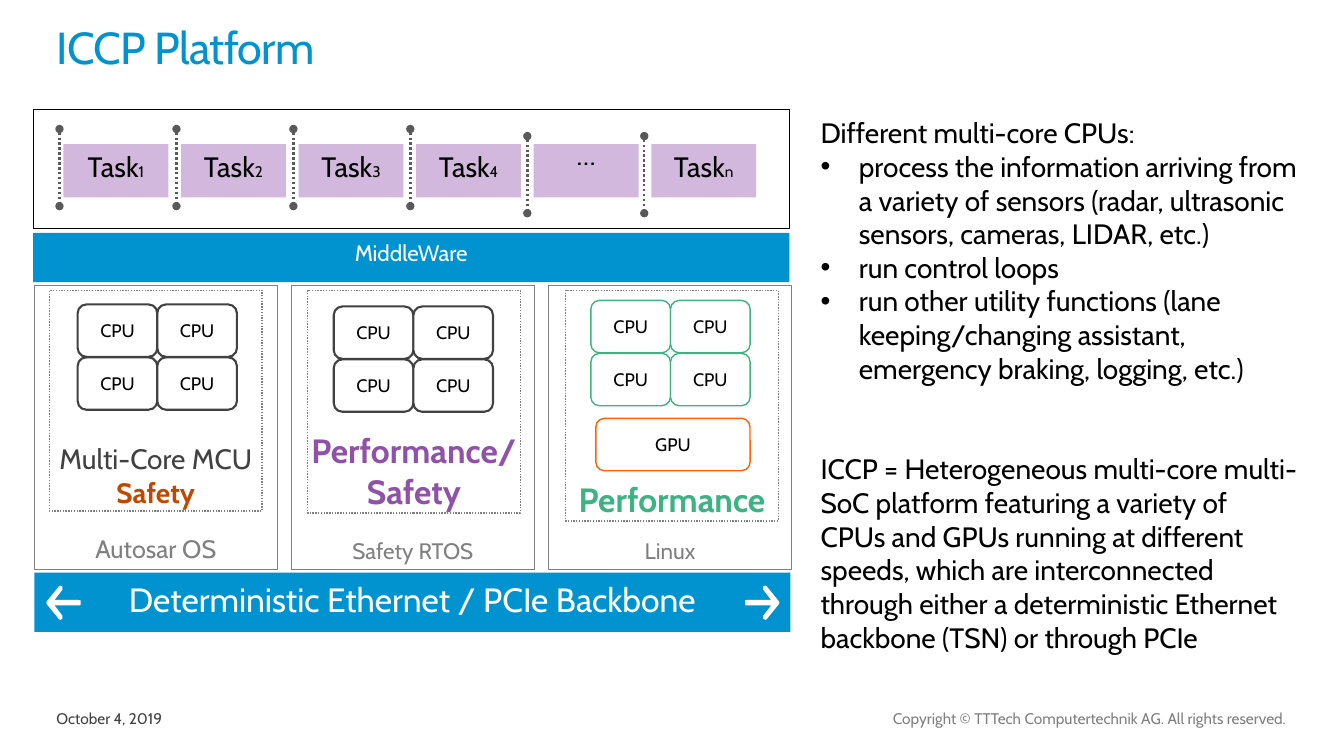
"""Build the ICCP Platform slide on a grid of tenth-inch cells."""
from lxml.etree import SubElement as Sub
from pptx import Presentation
from pptx.dml.color import RGBColor as Rgb
from pptx.enum.dml import MSO_LINE as Dash
from pptx.enum.shapes import MSO_CONNECTOR as Wire, MSO_SHAPE as Kind
from pptx.enum.text import MSO_ANCHOR as Anchor, PP_ALIGN as Align
from pptx.oxml.ns import qn
from pptx.util import Inches, Pt

HUE = {
    "blue": "0093D0", "white": "FFFFFF", "black": "000000", "dark": "414141",
    "grey": "808080", "dot": "595959", "lilac": "D1B8DC", "rust": "BF4900",
    "plum": "8F52A8", "green": "3DB384", "orange": "FF6100",
}
CELL = Inches(0.1)
MID, LOW = Anchor.MIDDLE, Anchor.BOTTOM
RECT, ROUND = Kind.RECTANGLE, Kind.ROUNDED_RECTANGLE

deck = Presentation()
deck.slide_width, deck.slide_height = Inches(13.33), Inches(7.5)
slide = deck.slides.add_slide(deck.slide_layouts[6])
items = slide.shapes


def write(shape, lines, align=Align.CENTER, anchor=Anchor.TOP, pad=(0, 0, 0, 0)):
    frame = shape.text_frame
    form = {"word_wrap": True, "vertical_anchor": anchor}
    sides = ("margin_left", "margin_top", "margin_right", "margin_bottom")
    form.update(zip(sides, (Inches(gap) for gap in pad)))
    for name, value in form.items():
        setattr(frame, name, value)
    for num, line in enumerate(lines):
        para = frame.add_paragraph() if num else frame.paragraphs[0]
        para.alignment = align
        for text, size, hue, bold in line:
            run = para.add_run()
            run.text = text
            run.font.color.rgb = Rgb.from_string(HUE[hue])
            for name, value in {"name": "Cabin", "size": Pt(size), "bold": bold}.items():
                setattr(run.font, name, value)
    return frame


def block(kind, cells, fill=None, edge=None, width=0.75, dash=None):
    place = [round(n * CELL) for n in cells]
    shape = items.add_shape(kind, *place) if kind else items.add_textbox(*place)
    if kind:
        shape.shadow.inherit = False
    if fill:
        shape.fill.solid()
        shape.fill.fore_color.rgb = Rgb.from_string(HUE[fill])
    else:
        shape.fill.background()
    if edge:
        shape.line.color.rgb = Rgb.from_string(HUE[edge])
        shape.line.width = Pt(width)
        shape.line.dash_style = dash
    else:
        shape.line.fill.background()
    return shape


date = block(None, (5.6, 69.5, 15.4, 2.7))
write(date, [[("October 4, 2019", 11, "dark", False)]], Align.LEFT, LOW)
title = write(block(None, (5.6, 2.8, 97.3, 4)),
              [[("ICCP Platform", 32, "blue", False)]], Align.LEFT)
head = title.paragraphs[0]
head.line_spacing = Pt(32)
head.runs[0].font._element.set("spc", "-50")
rights = "Copyright © TTTech Computertechnik AG. All rights reserved."
write(block(None, (43.8, 69.5, 83.8, 2.7)),
      [[(rights, 11, "grey", False)]], Align.RIGHT, LOW)

bars = [("MiddleWare", 3.3, 23.1, 4.9, 16),
        ("Deterministic Ethernet / PCIe Backbone", 3.4, 56.8, 5.9, 24)]
for text, left, top, high, size in bars:
    bar = block(RECT, (left, top, 75, high), "blue")
    write(bar, [[(text, size, "white", False)]], pad=[0.06] * 4)

half = [(0, 0.43), (0.06, 0.42), (0.76, 0.42), (0.53, 0.12), (0.53, 0.03),
        (0.59, 0), (0.63, 0.02), (0.98, 0.45), (1, 0.5)]
tip = half + [(x, 1 - y) for x, y in reversed(half[:-1])]
for start, way in ((73.9, 1), (8, -1)):
    dots = [(round((start + way * 3.4 * x) * CELL), round((58.1 + 3.4 * y) * CELL))
            for x, y in tip]
    path = items.build_freeform(*dots[0])
    path.add_line_segments(dots[1:], close=True)
    arrow = path.convert_to_shape()
    arrow.shadow.inherit = False
    arrow.fill.solid()
    arrow.fill.fore_color.rgb = Rgb.from_string(HUE["white"])
    arrow.line.fill.background()

block(RECT, (3.3, 10.9, 75, 11.8), "white", "black")
for col, mark in enumerate(["1", "2", "3", "4", "…", "n"]):
    task = block(RECT, (6.3 + 11.66 * col, 14.3, 10.4, 5.3), "lilac")
    if mark == "…":
        write(task, [[(mark, 20, "black", False)]], anchor=MID, pad=(0, 0, 0, 0.33))
    else:
        write(task, [[("Task", 20, "black", False), (mark, 11, "black", False)]],
              pad=(0, 0.05, 0, 0.05))
    left, top = 5.9 + 11.6 * col, 12.8 if col < 4 else 13.5
    ends = [round(n * CELL) for n in (left, top, left, top + 7.65)]
    wire = items.add_connector(Wire.STRAIGHT, *ends)
    wire.line.color.rgb = Rgb.from_string(HUE["dot"])
    wire.line.width, wire.line.dash_style = Pt(1.75), Dash.ROUND_DOT
    for end in ("a:headEnd", "a:tailEnd"):
        Sub(wire.line._get_or_add_ln(), qn(end)).set("type", "oval")
    Sub(wire._element.spPr, qn("a:effectLst"))

chips = [
    ("Autosar OS", 18, 4.9, 21.9, 7.7, 30.2, "dark", 1.5,
     [[("Multi-Core MCU", 20, "dark", False)], [("Safety", 20, "rust", True)]]),
    ("Safety RTOS", 16, 30.5, 22.1, 33.1, 30.4, "dark", 1.5,
     [[("Performance/Safety", 24, "plum", True)]]),
    ("Linux", 16, 56.1, 22.9, 58.6, 29.8, "green", 1,
     [[("Performance", 24, "green", True)]]),
]
for col, (label, size, side, high, left, top, hue, width, role) in enumerate(chips):
    host = block(RECT, (3.4 + 25.5 * col, 28.3, 24.1, 28.2), "white", "grey")
    write(host, [[(label, size, "grey", False)]], anchor=LOW, pad=[0.06] * 4)
    zone = block(RECT, (side, 28.8, 21.1, high), None, "grey", 1, Dash.ROUND_DOT)
    write(zone, role, anchor=LOW, pad=(0.01, 0.02, 0.01, 0.02))
    cores = [("CPU", left + 7.9 * (n % 2), top + 5.25 * (n // 2), 7.9, hue, width)
             for n in range(4)]
    if label == "Linux":
        cores.append(("GPU", 59.1, 41.5, 15.3, "orange", 1))
    for name, x, y, wide, edge, thick in cores:
        core = block(ROUND, (x, y, wide, 5.2), "white", edge, thick)
        write(core, [[(name, 12.9, "black", False)]], anchor=MID, pad=[0.02] * 4)

notes = [
    "Different multi-core CPUs:",
    "process the information arriving from a variety of sensors (radar, ultrasonic sensors, cameras, LIDAR, etc.)",
    "run control loops",
    "run other utility functions (lane keeping/changing assistant, emergency braking, logging, etc.)",
    "ICCP = Heterogeneous multi-core multi-SoC platform featuring a variety of CPUs and GPUs running at different speeds, which are interconnected through either a deterministic Ethernet backbone (TSN) or through PCIe",
]
body = write(block(None, (80.4, 11, 49.3, 54.9)),
             [[(text, 20, "black", False)] for text in notes],
             Align.LEFT, pad=(0.1, 0.05, 0.1, 0.05))
for para in body.paragraphs[1:4]:
    props = para._p.get_or_add_pPr()
    for name, value in {"marL": 0.38, "indent": -0.38}.items():
        props.set(name, str(Inches(value)))
    Sub(props, qn("a:buFont")).set("typeface", "Arial")
    Sub(props, qn("a:buChar")).set("char", "•")
body.paragraphs[4].space_before = Pt(48)

deck.save("out.pptx")
